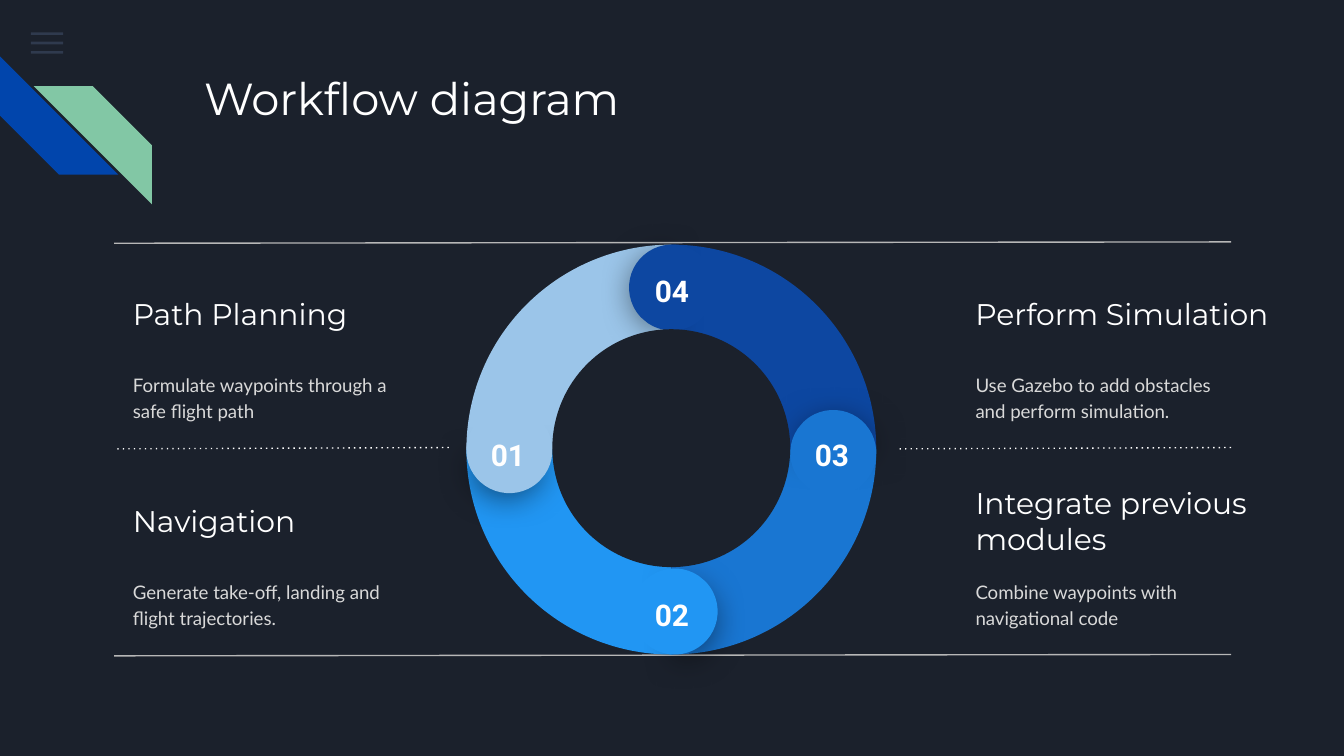
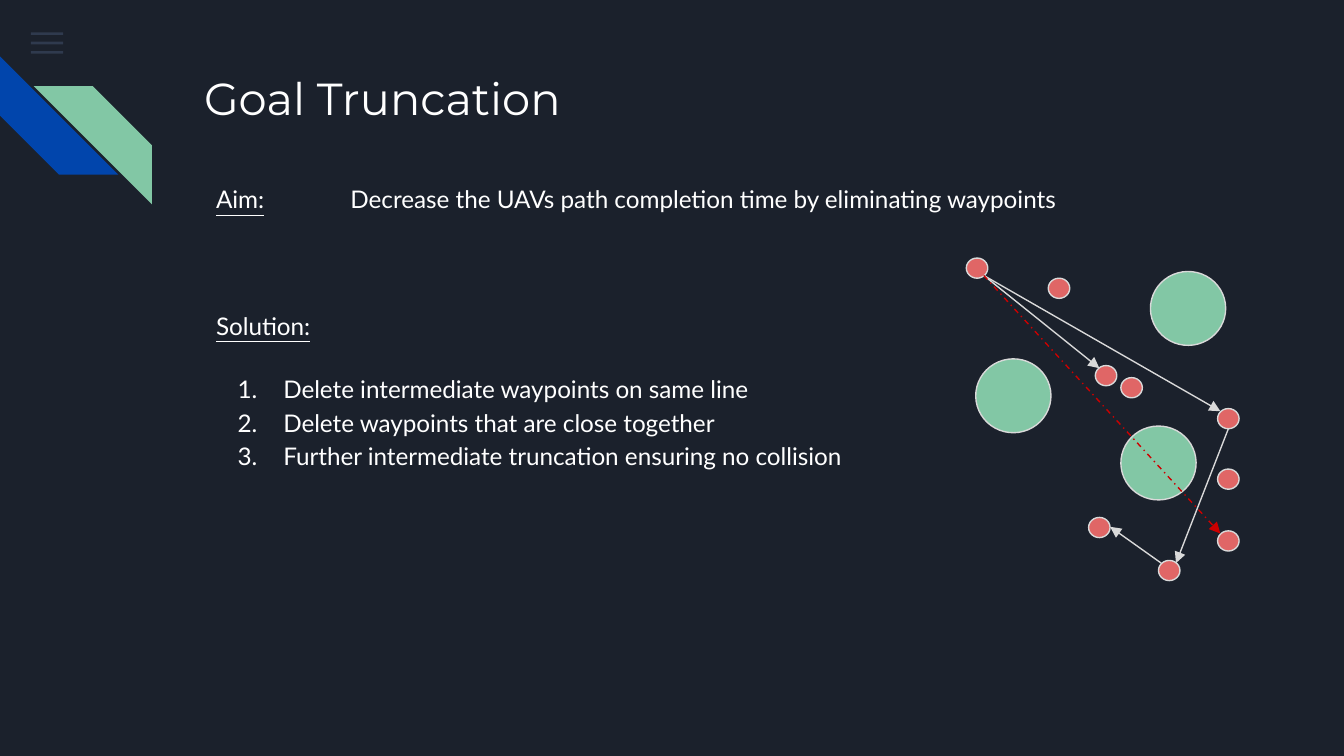
import pptx
import pptx.dml.color
import pptx.enum.shapes
import pptx.enum.text
import pptx.oxml
import pptx.oxml.ns
import pptx.util
from lxml import etree

Inches = pptx.util.Inches
Pt = pptx.util.Pt
SHAPE = pptx.enum.shapes.MSO_SHAPE
ANCHOR = pptx.enum.text.MSO_ANCHOR
ALIGN = pptx.enum.text.PP_ALIGN
qn = pptx.oxml.ns.qn

# Shared look
BACKGROUND = "1B212C"
WHITE = "FFFFFF"
PALE = "D9D9D9"
RULE = "B7B7B7"
MENU = "55688B"
BLUE = "0145AC"
GREEN = "82C7A5"
CORAL = "E06666"
RED = "CC0000"
HEADING_FONT, BODY_FONT, NUMBER_FONT = "Montserrat", "Lato", "Roboto"

# Workflow: colour, cap box, chord box and number position of each step
STEPS = [
    ("9BC5E9", (3.48, 3.07), (3.47, 3.03), (3.5, 3.15)),
    ("2196F3", (4.74, 4.28), (4.7, 4.23), (4.72, 4.34)),
    ("1976D2", (5.93, 3.07), (5.88, 3.05), (5.91, 3.15)),
    ("0D47A1", (4.7, 1.83), (4.68, 1.82), (4.72, 1.93)),
]
CAP_ARC = (189.535, 83.81)
CAP_ARC_03 = (196.87, 77.71)
DESCRIPTIONS = [
    (0.89, 2.09, 2.03, "Path Planning",
     "Formulate waypoints through a safe flight path"),
    (0.89, 3.63, 2.03, "Navigation",
     "Generate take-off, landing and flight trajectories."),
    (7.16, 2.09, 2.44, "Perform Simulation",
     "Use Gazebo to add obstacles and perform simulation."),
    (7.16, 3.63, 2.22, "Integrate previous modules",
     "Combine waypoints with navigational code"),
]

# Goal truncation: map of waypoints, obstacles and path
WAYPOINTS = [(7.19, 1.92), (7.8, 2.07), (8.15, 2.72), (9.06, 3.04), (9.06, 3.95),
             (9.06, 3.49), (8.34, 2.81), (8.62, 4.17), (8.1, 3.85)]
OBSTACLES = [(8.34, 3.17), (7.26, 2.67), (8.56, 2.02)]
START = (7.32, 2.05)
PATH = [(START, (8.18, 2.74)), (START, (9.08, 3.06)),
        ((9.14, 3.19), (8.75, 4.19)), ((8.64, 4.19), (8.26, 3.92))]
SOLUTIONS = ["Delete intermediate waypoints on same line",
             "Delete waypoints that are close together",
             "Further intermediate truncation ensuring no collision"]


def color(value):
    return pptx.dml.color.RGBColor.from_string(value)


def add_element(parent, tag, **attributes):
    return etree.SubElement(parent, qn(tag), attributes)


def add_figure(slide, kind, box, fill, rotation=0, adjustments=(), line=None):
    shape = slide.shapes.add_shape(kind, *map(Inches, box))
    shape.shadow.inherit = False
    shape.rotation = rotation % 360
    for index, value in enumerate(adjustments):
        shape.adjustments[index] = value
    shape.fill.solid()
    shape.fill.fore_color.rgb = color(fill)
    if line:
        shape.line.color.rgb = color(line)
        shape.line.width = Pt(0.75)
    else:
        shape.line.fill.background()
    return shape


def add_line(slide, start, end, line_color, dash=None, arrow=False):
    connector = slide.shapes.add_connector(
        pptx.enum.shapes.MSO_CONNECTOR.STRAIGHT, *map(Inches, start + end))
    connector.line.color.rgb = color(line_color)
    connector.line.width = Pt(0.75)
    properties = connector._element.spPr
    outline = properties.find(qn("a:ln"))
    if dash:
        add_element(outline, "a:prstDash", val=dash)
    if arrow:
        add_element(outline, "a:tailEnd", type="triangle")
    add_element(properties, "a:effectLst")


def add_soft_shadow(shape):
    effects = shape._element.spPr.find(qn("a:effectLst"))
    shadow = add_element(effects, "a:outerShdw", blurRad=str(Pt(18)), dist=str(Pt(4)),
                         dir="5400000", algn="bl", rotWithShape="0")
    shadow_color = add_element(shadow, "a:srgbClr", val="000000")
    add_element(shadow_color, "a:alpha", val="55000")


def add_run(paragraph, text, size, font, text_color=WHITE, bold=None, underline=None):
    run = paragraph.add_run()
    run.text = text
    run.font.size = Pt(size)
    run.font.name = font
    run.font.color.rgb = color(text_color)
    run.font.bold = bold
    run.font.underline = underline


def add_text_frame(slide, box, anchor=ANCHOR.TOP):
    frame = slide.shapes.add_textbox(*map(Inches, box)).text_frame
    frame.word_wrap = True
    frame.vertical_anchor = anchor
    frame.margin_left = frame.margin_right = Inches(0.1)
    frame.margin_top = frame.margin_bottom = Inches(0.1)
    return frame


def add_slide(presentation, title):
    slide = presentation.slides.add_slide(presentation.slide_layouts[6])
    slide.background.fill.solid()
    slide.background.fill.fore_color.rgb = color(BACKGROUND)
    # Menu bars
    for index in range(3):
        bar = add_figure(slide, SHAPE.RECTANGLE, (0.23, 0.24 + 0.07 * index, 0.24, 0.02), MENU)
        add_element(bar._element.spPr.find(".//" + qn("a:srgbClr")), "a:alpha", val="36000")
    # Corner stripes
    add_figure(slide, SHAPE.DIAGONAL_STRIPE, (0, 0.42, 0.88, 0.88), BLUE, 270, (0.5,))
    stripe = add_figure(slide, SHAPE.DIAGONAL_STRIPE, (0.25, 0.64, 0.88, 0.88), GREEN, 0, (0.5,))
    stripe._element.spPr.find(qn("a:xfrm")).set("flipH", "1")
    # Title
    frame = add_text_frame(slide, (1.42, 0.43, 7.7, 1))
    add_run(frame.paragraphs[0], title, 24, HEADING_FONT)
    return slide


def add_description(slide, left, top, width, heading, text):
    frame = add_text_frame(slide, (left, top, width, 0.49), ANCHOR.MIDDLE)
    add_run(frame.paragraphs[0], heading, 16, HEADING_FONT)
    frame = add_text_frame(slide, (left, top + 0.48, 2.18, 0.76), ANCHOR.MIDDLE)
    paragraph = frame.paragraphs[0]
    paragraph.line_spacing = 1.15
    paragraph.space_after = Pt(16)
    add_run(paragraph, text, 10, BODY_FONT, PALE)


def add_ring(slide):
    for index, (fill, *_) in enumerate(STEPS):
        add_figure(slide, SHAPE.PIE, (3.47, 1.82, 3.05, 3.05), fill,
                   -90 * index, (107.957, 162.013))
    # Rounded, shadowed ends with their numbers
    for index, (fill, cap, chord, number) in enumerate(STEPS):
        arc = CAP_ARC_03 if index == 2 else CAP_ARC
        end = add_figure(slide, SHAPE.PIE, cap + (0.57, 0.57), fill, 39.5 - 90 * index, arc)
        add_soft_shadow(end)
        add_figure(slide, SHAPE.CHORD, chord + (0.64, 0.64), fill,
                   4.1 - 90 * index, (25.006, 18.12))
        paragraph = add_text_frame(slide, number + (0.56, 0.29)).paragraphs[0]
        paragraph.alignment = ALIGN.CENTER
        add_run(paragraph, f"{index + 1:02}", 16, NUMBER_FONT, bold=True)
    add_figure(slide, SHAPE.OVAL, (4.11, 2.45, 1.77, 1.77), BACKGROUND)


def add_numbering(paragraph):
    properties = paragraph._p.get_or_add_pPr()
    properties.set("marL", str(Inches(0.5)))
    properties.set("indent", str(Inches(-0.34)))
    add_element(add_element(properties, "a:buClr"), "a:srgbClr", val=WHITE)
    add_element(properties, "a:buAutoNum", type="arabicPeriod")


def add_aim_and_solution(slide):
    frame = add_text_frame(slide, (1.51, 1.24, 7.7, 1.21))
    aim = frame.paragraphs[0]
    tabs = add_element(aim._p.get_or_add_pPr(), "a:tabLst")
    add_element(tabs, "a:tab", pos=str(Inches(1)), algn="l")
    add_run(aim, "Aim:", 13, BODY_FONT, underline=True)
    add_run(aim, "\tDecrease the UAVs path completion time by eliminating waypoints",
            13, BODY_FONT)
    solution = frame.add_paragraph()
    solution.space_before = Pt(50)
    add_run(solution, "Solution:", 13, BODY_FONT, underline=True)
    for index, text in enumerate(SOLUTIONS):
        paragraph = frame.add_paragraph()
        add_numbering(paragraph)
        paragraph.space_before = Pt(0 if index else 16)
        add_run(paragraph, text, 13, BODY_FONT)
    for paragraph in frame.paragraphs:
        paragraph.line_spacing = 1.15


def add_obstacle(slide, position):
    add_figure(slide, SHAPE.OVAL, position + (0.56, 0.55), GREEN, 359.1, line=PALE)


def build_workflow(presentation):
    slide = add_slide(presentation, "Workflow diagram")
    for description in DESCRIPTIONS:
        add_description(slide, *description)
    for right, left, y, line_color, dash in [
            (9.16, 0.85, 1.8, RULE, None), (3.34, 0.85, 3.33, WHITE, "dot"),
            (9.16, 6.67, 3.33, WHITE, "dot"), (9.16, 0.85, 4.87, RULE, None)]:
        add_line(slide, (right, y), (left, y + 0.01), line_color, dash)
    add_ring(slide)


def build_goal_truncation(presentation):
    slide = add_slide(presentation, "Goal Truncation")
    add_aim_and_solution(slide)
    for position in WAYPOINTS:
        add_figure(slide, SHAPE.OVAL, position + (0.16, 0.15), CORAL, line=PALE)
    add_obstacle(slide, OBSTACLES[0])
    for start, end in PATH:
        add_line(slide, start, end, PALE, arrow=True)
    for position in OBSTACLES[1:]:
        add_obstacle(slide, position)
    # Rejected shortcut through an obstacle
    add_line(slide, START, (9.08, 3.97), RED, "dashDot", arrow=True)


def main():
    presentation = pptx.Presentation()
    # Widescreen, 16:9
    presentation.slide_width = Inches(10)
    presentation.slide_height = Inches(10 * 9 / 16)
    build_workflow(presentation)
    build_goal_truncation(presentation)
    presentation.save("out.pptx")


if __name__ == "__main__":
    main()
